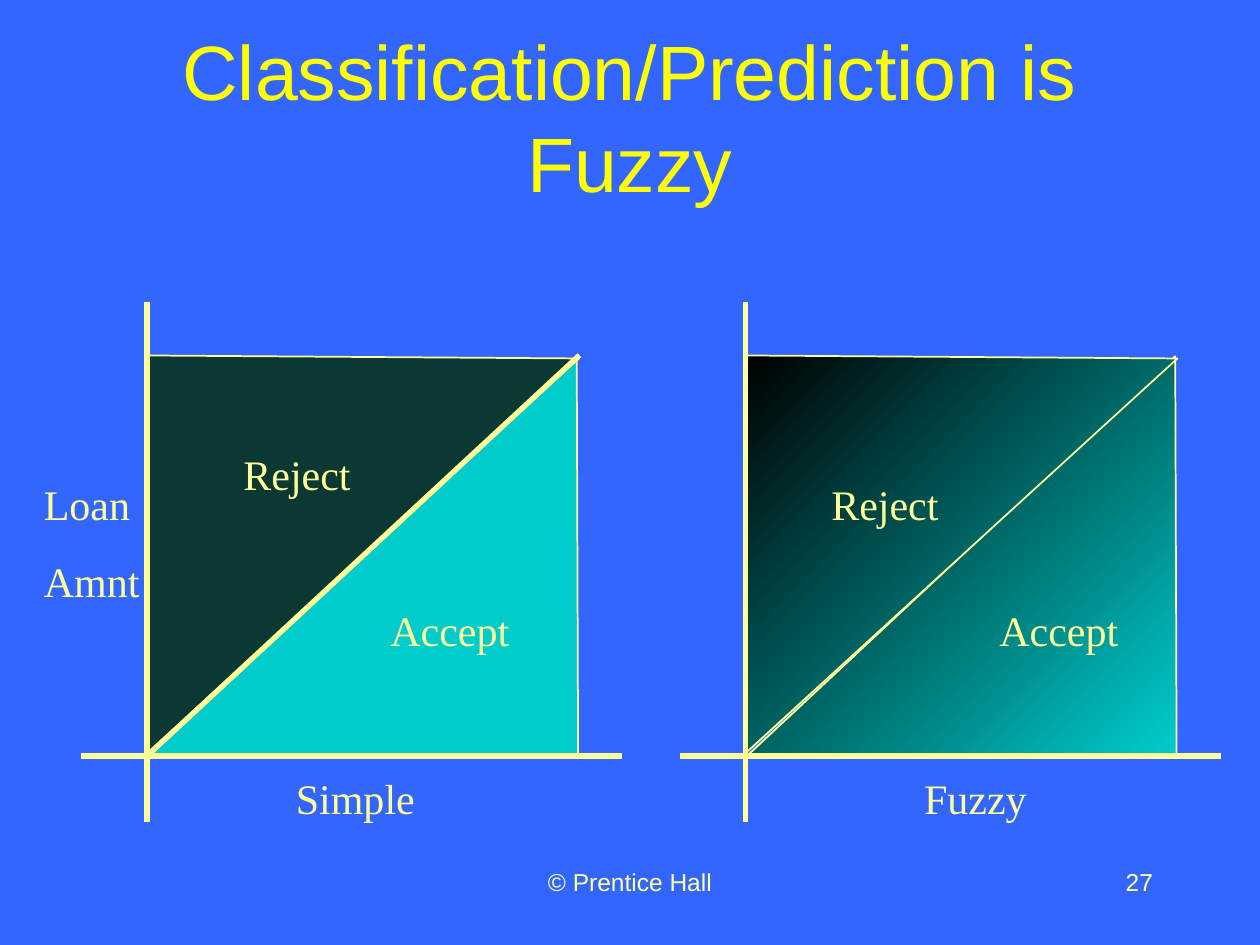
from dataclasses import dataclass

from lxml.etree import SubElement
from pptx import Presentation
from pptx.dml.color import RGBColor
from pptx.enum.shapes import MSO_CONNECTOR, MSO_SHAPE
from pptx.enum.text import MSO_ANCHOR, MSO_AUTO_SIZE, PP_ALIGN
from pptx.oxml.ns import qn
from pptx.util import Pt


@dataclass(frozen=True)
class Theme:
    """Colours, fonts and sizes of the slide."""
    background: RGBColor = RGBColor(0x33, 0x66, 0xFF)
    title: RGBColor = RGBColor(0xFF, 0xFF, 0x00)
    ink: RGBColor = RGBColor(0xFF, 0xFF, 0x99)
    accept: RGBColor = RGBColor(0x00, 0xCC, 0xCC)
    reject: RGBColor = RGBColor(0x0C, 0x38, 0x34)
    black: RGBColor = RGBColor(0x00, 0x00, 0x00)
    sans: str = "Arial"
    serif: str = "Times New Roman"
    title_size: int = 44
    label_size: int = 24
    footer_size: int = 14
    thin: int = 1
    thick: int = 3


THEME = Theme()


def style(paragraph, font_name, size, color, align=PP_ALIGN.LEFT):
    """Set the alignment and font of one paragraph."""
    paragraph.alignment = align
    font = paragraph.font
    font.name, font.size = font_name, Pt(size)
    font.color.rgb = color


def add_label(slide, text, box, wrap=False, align=PP_ALIGN.LEFT,
              font_name=THEME.serif, size=THEME.label_size):
    """Add a text box and return its paragraphs."""
    frame = slide.shapes.add_textbox(*map(Pt, box)).text_frame
    frame.word_wrap = wrap
    frame.auto_size = MSO_AUTO_SIZE.NONE if wrap else MSO_AUTO_SIZE.SHAPE_TO_FIT_TEXT
    frame.text = text
    for paragraph in frame.paragraphs:
        style(paragraph, font_name, size, THEME.ink, align)
    return frame.paragraphs


def add_rule(slide, start, end, weight=THEME.thick):
    """Draw a straight line with square ends between two points."""
    rule = slide.shapes.add_connector(MSO_CONNECTOR.STRAIGHT, *map(Pt, (*start, *end)))
    rule.line.color.rgb, rule.line.width = THEME.ink, Pt(weight)
    rule._element.spPr.find(qn("a:ln")).set("cap", "sq")
    SubElement(rule._element.spPr, qn("a:effectLst"))


def add_triangle(slide, left, top, rotation, color, fuzzy):
    """Draw one half of the plot square, flat or shaded from black."""
    triangle = slide.shapes.add_shape(
        MSO_SHAPE.RIGHT_TRIANGLE, Pt(left), Pt(top), Pt(228), Pt(246))
    triangle.rotation = rotation
    triangle.shadow.inherit = False
    triangle.line.color.rgb, triangle.line.width = THEME.ink, Pt(THEME.thin)
    if not fuzzy:
        triangle.fill.solid()
        triangle.fill.fore_color.rgb = color
        return
    triangle.fill.gradient()
    triangle.fill.gradient_angle = 315
    for stop, shade, position in zip(
            triangle.fill.gradient_stops, (THEME.black, THEME.accept), (0, 1)):
        stop.color.rgb, stop.position = shade, position
    triangle._element.spPr.find(qn("a:gradFill")).set("rotWithShape", "0")


def add_plot(slide, left, top, width, height, fuzzy=False):
    """Draw the axes with the accept and reject halves between them."""
    axis_x, axis_y = origin = left + 36, top + 258
    for rotation, color in ((269.8, THEME.accept), (90.4, THEME.reject)):
        add_triangle(slide, left + 45, top + 21, rotation, color, fuzzy)
    add_rule(slide, (axis_x, top + 30), (axis_x, top + 30), THEME.thin)
    add_rule(slide, origin, (axis_x, axis_y - 6), THEME.thin)
    add_rule(slide, (axis_x, top + height), (axis_x, top))
    add_rule(slide, (left + width, axis_y), (left, axis_y))
    if not fuzzy:
        add_rule(slide, origin, (left + 282, top + 30))

    caption, caption_x, caption_width = ("Fuzzy", 131, 74) if fuzzy else ("Simple", 114, 83)
    add_label(slide, caption, (left + caption_x, top + 264, caption_width, 36))
    add_label(slide, "Accept", (left + (174 if fuzzy else 168), top + 168, 83, 36))
    reject_x, reject_height = (78, 36) if fuzzy else (84, 16)
    reject, = add_label(slide, "Reject", (left + reject_x, top + 96, 76, reject_height))
    if not fuzzy:
        reject.line_spacing = 0.3


def add_title(slide, left, top, width, height):
    """Fill and place the title placeholder."""
    title = slide.shapes.title
    title.left, title.top, title.width, title.height = map(Pt, (left, top, width, height))
    frame = title.text_frame
    frame.text = "Classification/Prediction is Fuzzy"
    frame.word_wrap, frame.auto_size = True, MSO_AUTO_SIZE.NONE
    frame.vertical_anchor = MSO_ANCHOR.MIDDLE
    style(frame.paragraphs[0], THEME.sans, THEME.title_size, THEME.title, PP_ALIGN.CENTER)


def add_axis_name(slide, left, top, width, height):
    """Name the vertical axis in two paragraphs."""
    _, second = add_label(slide, "Loan\nAmnt", (left, top, width, height), wrap=True)
    second.space_before = Pt(15)


def add_footer(slide, left, top, width, height):
    """Place the copyright line and the page number in the footer strip."""
    for text, x, part_width, align in (
            ("© Prentice Hall", left, 228, PP_ALIGN.CENTER),
            ("27", left + width - 150, 150, PP_ALIGN.RIGHT)):
        add_label(slide, text, (x, top, part_width, height), True, align,
                  THEME.sans, THEME.footer_size)


def main():
    """Build the slide and save it."""
    deck = Presentation()
    deck.slide_width, deck.slide_height = Pt(720), Pt(540)
    slide = deck.slides.add_slide(deck.slide_layouts[5])
    slide.background.fill.solid()
    slide.background.fill.fore_color.rgb = THEME.background
    add_footer(slide, 246, 492, 420, 36)
    add_title(slide, 54, 18, 612, 96)
    add_axis_name(slide, 18, 270, 78, 80)
    add_plot(slide, 48, 174, 306, 294)
    add_plot(slide, 390, 174, 306, 294, fuzzy=True)
    deck.save("out.pptx")


if __name__ == "__main__":
    main()
